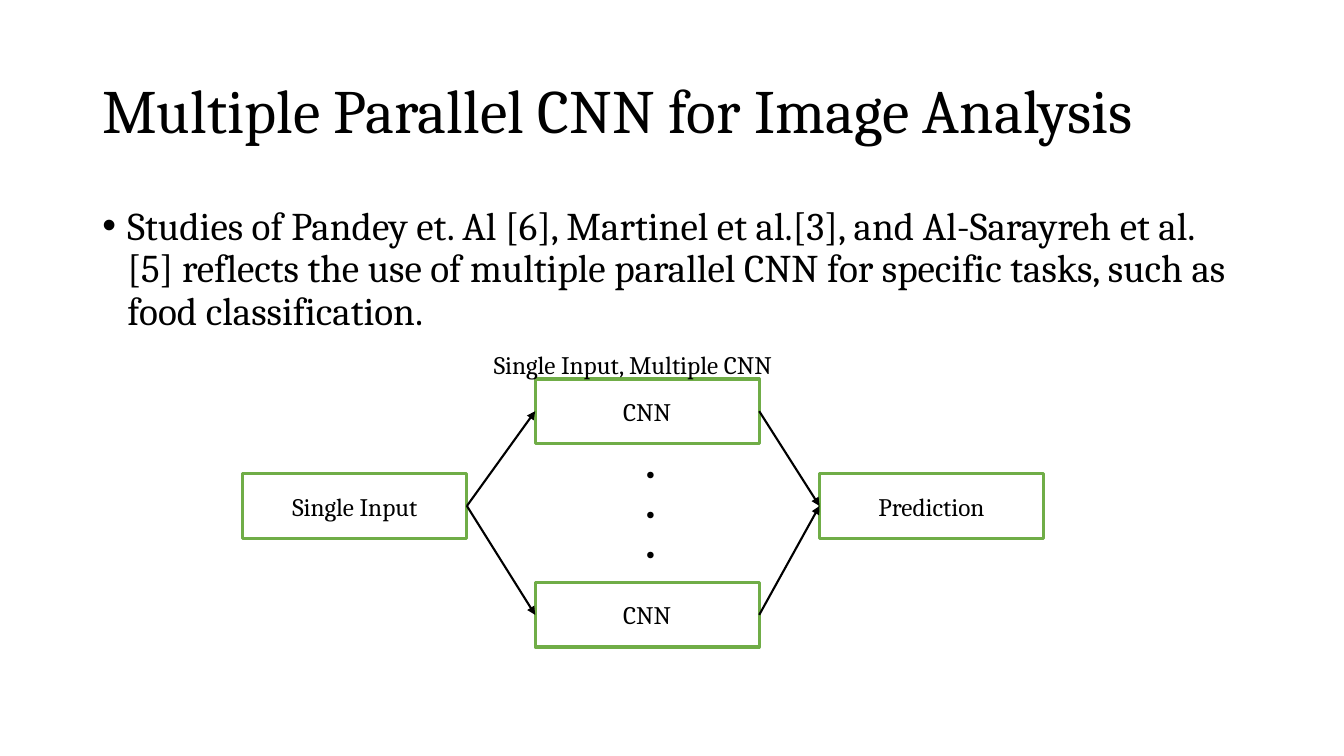
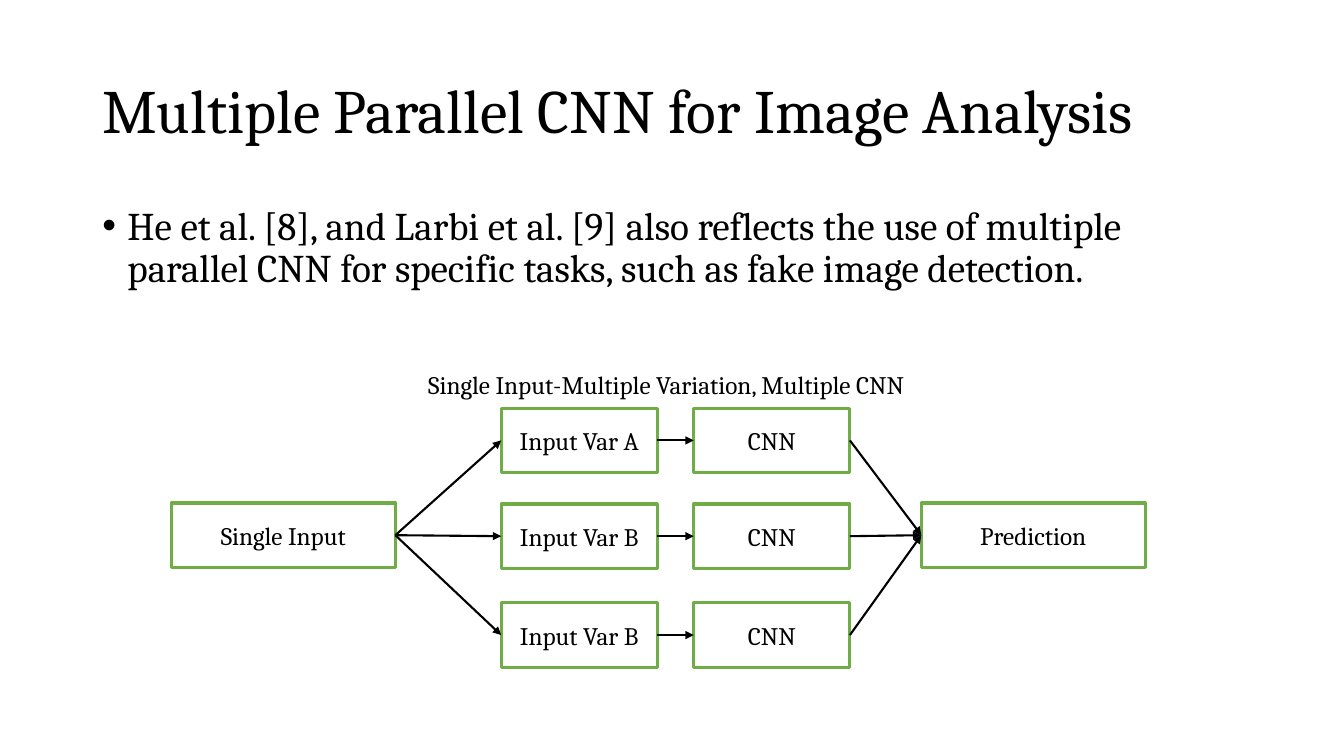
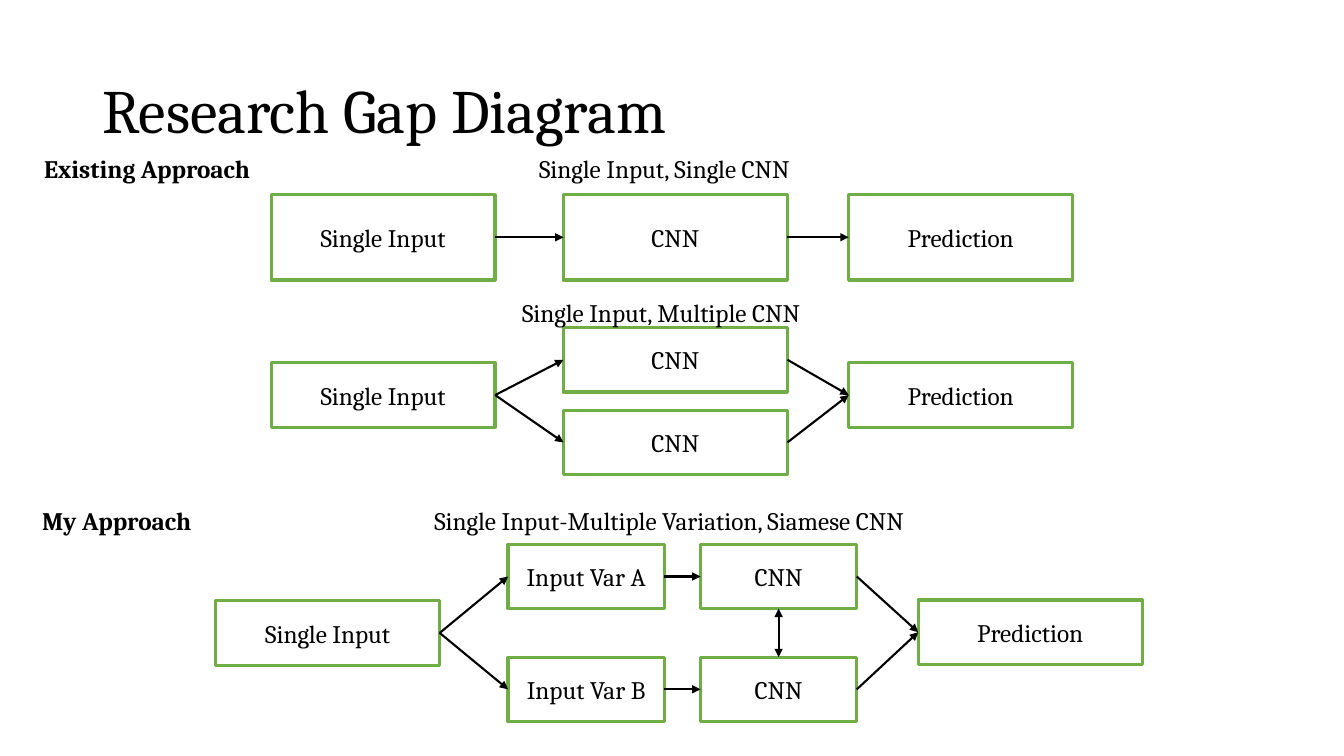
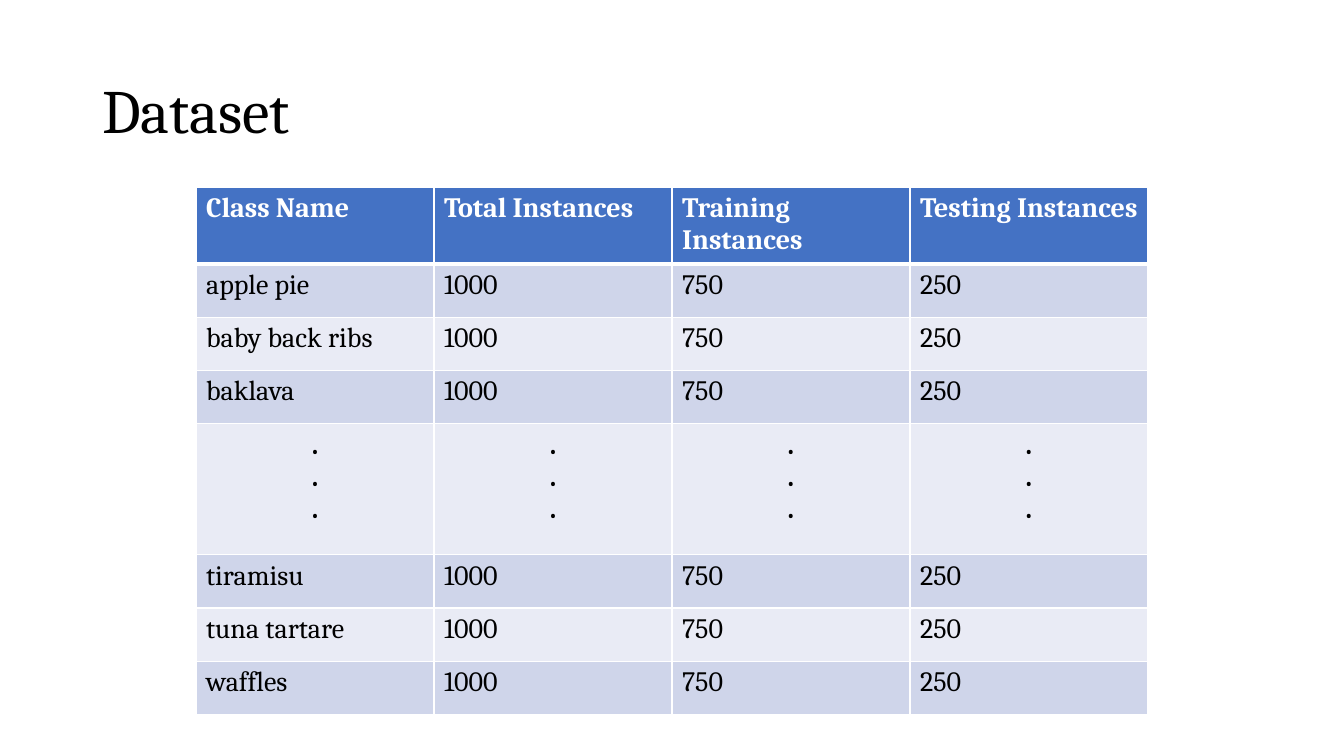
"""Build four slides on parallel CNN designs and the dataset behind them."""
import itertools

import lxml.etree
import pptx
import pptx.dml.color
import pptx.enum.shapes
import pptx.enum.text
import pptx.oxml.ns
import pptx.util

Pt = pptx.util.Pt
qn = pptx.oxml.ns.qn
SubElement = lxml.etree.SubElement
RGB = pptx.dml.color.RGBColor.from_string
MIDDLE = pptx.enum.text.MSO_ANCHOR.MIDDLE
CENTER = pptx.enum.text.PP_ALIGN.CENTER
RECTANGLE = pptx.enum.shapes.MSO_SHAPE.RECTANGLE
STRAIGHT = pptx.enum.shapes.MSO_CONNECTOR.STRAIGHT

COLORS = {
    "ink": "000000",
    "paper": "FFFFFF",
    "outline": "70AD47",
    "header": "4472C4",
    "odd row": "CFD5EA",
    "even row": "E9EBF5",
}
STYLES = {
    "title": {
        "frame": {"vertical_anchor": MIDDLE, "word_wrap": True},
        "para": {"line_spacing": 0.9},
        "font": {"name": "Cambria", "size": Pt(44)},
    },
    "body": {
        "frame": {"word_wrap": True},
        "para": {"line_spacing": 0.9, "space_before": Pt(10)},
        "font": {"name": "Cambria", "size": Pt(28)},
    },
    "caption": {
        "frame": {"word_wrap": True},
        "para": {},
        "font": {"name": "Cambria", "size": Pt(18)},
    },
    "heading": {
        "frame": {"word_wrap": True},
        "para": {},
        "font": {"name": "Cambria", "size": Pt(18), "bold": True},
    },
    "node": {
        "frame": {"vertical_anchor": MIDDLE, "word_wrap": True},
        "para": {"alignment": CENTER},
        "font": {"name": "Cambria", "size": Pt(18)},
    },
    "dots": {
        "frame": {"word_wrap": True},
        "para": {"alignment": CENTER},
        "font": {"name": "Montserrat", "size": Pt(24), "bold": True},
    },
    "header cell": {
        "frame": {},
        "para": {},
        "font": {"name": "Cambria", "size": Pt(20), "bold": True},
    },
    "cell": {
        "frame": {},
        "para": {},
        "font": {"name": "Cambria", "size": Pt(20), "bold": False},
    },
    "dots cell": {
        "frame": {},
        "para": {"alignment": CENTER},
        "font": {"name": "Cambria", "size": Pt(20), "bold": True},
    },
}
WIDE, NARROW = 160, 111.6
LOW, TALL = 46, 61
TITLE_AREA = (66, 29, 828, 104)
BODY_AREA = (66, 144, 828, 343)
LEFT, TOP, RIGHT, BOTTOM = 1, 0, 3, 2

PAGES = [
    {
        "title": "Multiple Parallel CNN for Image Analysis",
        "body": "Studies of Pandey et. Al [6], Martinel et al.[3], and Al-Sarayreh et al. [5] "
                "reflects the use of multiple parallel CNN for specific tasks, such as food "
                "classification.",
        "texts": [
            ("caption", "Single Input, Multiple CNN", (345.6, 246.2, 228, 29)),
            ("dots", ".\n.\n.", (444.2, 313.9, 41, 94.3)),
        ],
        "diagrams": [
            (LOW, [
                (173.5, WIDE, [("Single Input", 338.4)]),
                (382.3, WIDE, [("CNN", 270.7), ("CNN", 416.2)]),
                (585.4, WIDE, [("Prediction", 338.4)]),
            ]),
        ],
    },
    {
        "title": "Multiple Parallel CNN for Image Analysis",
        "body": "He et al. [8], and Larbi et al. [9] also reflects the use of multiple parallel "
                "CNN for specific tasks, such as fake image detection.",
        "texts": [
            ("caption", "Single Input-Multiple Variation, Multiple CNN", (298.8, 260, 381, 29)),
        ],
        "diagrams": [
            (LOW, [
                (122.4, WIDE, [("Single Input", 359.3)]),
                (358, NARROW,
                 [("Input Var A", 291.6), ("Input Var B", 360), ("Input Var B", 430.6)]),
                (495.5, NARROW, [("CNN", 291.6), ("CNN", 360), ("CNN", 430.6)]),
                (658.1, WIDE, [("Prediction", 359.3)]),
            ]),
        ],
    },
    {
        "title": "Research Gap Diagram",
        "texts": [
            ("heading", "Existing Approach", (24.5, 105.8, 169, 29)),
            ("heading", "My Approach", (23, 357.1, 146, 29)),
            ("caption", "Single Input, Single CNN", (378, 105.8, 213, 29)),
            ("caption", "Single Input, Multiple CNN", (365.8, 208.8, 228, 29)),
            ("caption", "Single Input-Multiple Variation, Siamese CNN", (303.1, 357.1, 381, 29)),
        ],
        "diagrams": [
            (TALL, [
                (193.7, WIDE, [("Single Input", 139)]),
                (402.5, WIDE, [("CNN", 139)]),
                (606.2, WIDE, [("Prediction", 139)]),
            ]),
            (LOW, [
                (193.7, WIDE, [("Single Input", 259.2)]),
                (402.5, WIDE, [("CNN", 234), ("CNN", 293)]),
                (606.2, WIDE, [("Prediction", 259.2)]),
            ]),
            (LOW, [
                (154.1, WIDE, [("Single Input", 429.1)]),
                (362.9, NARROW, [("Input Var A", 388.8), ("Input Var B", 469.4)]),
                (500.4, NARROW, [("CNN", 388.8), ("CNN", 469.4)]),
                (655.9, WIDE, [("Prediction", 428.6)]),
            ]),
        ],
        "siamese": True,
    },
    {
        "title": "Dataset",
        "header": ["Class Name", "Total Instances", "Training Instances", "Testing Instances"],
        "classes": ["apple pie", "baby back ribs", "baklava", None,
                    "tiramisu", "tuna tartare", "waffles"],
        "counts": ["1000", "750", "250"],
    },
]


def write(frame, text, style, color="ink"):
    for name, value in STYLES[style]["frame"].items():
        setattr(frame, name, value)
    for index, line in enumerate(text.split("\n")):
        para = frame.add_paragraph() if index else frame.paragraphs[0]
        for name, value in STYLES[style]["para"].items():
            setattr(para, name, value)
        span = para.add_run()
        span.text = line
        span.font.color.rgb = RGB(COLORS[color])
        for name, value in STYLES[style]["font"].items():
            setattr(span.font, name, value)


def link(page, start, start_site, end, end_site, arrows=("tailEnd",)):
    arrow = page.shapes.add_connector(STRAIGHT, 0, 0, 0, 0)
    arrow.begin_connect(start, start_site)
    arrow.end_connect(end, end_site)
    arrow.line.color.rgb = RGB(COLORS["ink"])
    arrow.line.width = Pt(1.5)
    properties = arrow.element.spPr
    for tag in arrows:
        SubElement(properties.find(qn("a:ln")), qn(f"a:{tag}"), type="triangle")
    SubElement(properties, qn("a:effectLst"))


deck = pptx.Presentation()
deck.slide_width, deck.slide_height = Pt(960), Pt(540)

for content in PAGES:
    page = deck.slides.add_slide(deck.slide_layouts[6])
    texts = [("title", content["title"], TITLE_AREA)]
    if "body" in content:
        texts.append(("body", content["body"], BODY_AREA))

    for height, columns in content.get("diagrams", []):
        stacks = []
        for left, width, nodes in columns:
            stack = []
            for label, top in nodes:
                box = page.shapes.add_shape(RECTANGLE, Pt(left), Pt(top), Pt(width), Pt(height))
                box.shadow.inherit = False
                box.fill.solid()
                box.fill.fore_color.rgb = RGB(COLORS["paper"])
                box.line.color.rgb = RGB(COLORS["outline"])
                box.line.width = Pt(2.25)
                write(box.text_frame, label, "node")
                stack.append(box)
            stacks.append(stack)
        for before, after in itertools.pairwise(stacks):
            pair_up = zip if len(before) == len(after) else itertools.product
            for start, end in pair_up(before, after):
                link(page, start, RIGHT, end, LEFT)

    if content.get("siamese"):
        upper, lower = stacks[2]
        link(page, lower, TOP, upper, BOTTOM, ("headEnd", "tailEnd"))

    for style, text, area in texts + content.get("texts", []):
        box = page.shapes.add_textbox(*map(Pt, area))
        write(box.text_frame, text, style)
        if style == "body":
            indents = box.text_frame.paragraphs[0]._p.get_or_add_pPr()
            indents.set("marL", str(Pt(18)))
            indents.set("indent", str(-Pt(18)))
            SubElement(indents, qn("a:buFont"), typeface="Arial")
            SubElement(indents, qn("a:buChar"), char="•")

    if "header" in content:
        rows = [content["header"]]
        for name in content["classes"]:
            rows.append([name, *content["counts"]] if name else [".\n.\n."] * 4)
        table = page.shapes.add_table(len(rows), 4, Pt(140), Pt(133.5), Pt(680), Pt(360)).table
        for column in table.columns:
            column.width = Pt(170)
        for row_index, values in enumerate(rows):
            is_dots = "\n" in values[0]
            table.rows[row_index].height = Pt(93.6 if is_dots else 38)
            if row_index == 0:
                style, ink, fill = "header cell", "paper", "header"
            else:
                style, ink = "dots cell" if is_dots else "cell", "ink"
                fill = "odd row" if row_index % 2 else "even row"
            for column_index, value in enumerate(values):
                cell = table.cell(row_index, column_index)
                write(cell.text_frame, value, style, ink)
                borders = cell._tc.get_or_add_tcPr()
                for side in ("lnL", "lnR", "lnT", "lnB"):
                    under_header = (row_index, side) in ((0, "lnB"), (1, "lnT"))
                    width = Pt(3 if under_header else 1)
                    border = SubElement(borders, qn(f"a:{side}"), w=str(width))
                    paint = SubElement(border, qn("a:solidFill"))
                    SubElement(paint, qn("a:srgbClr"), val=COLORS["paper"])
                cell.fill.solid()
                cell.fill.fore_color.rgb = RGB(COLORS[fill])

deck.save("out.pptx")
